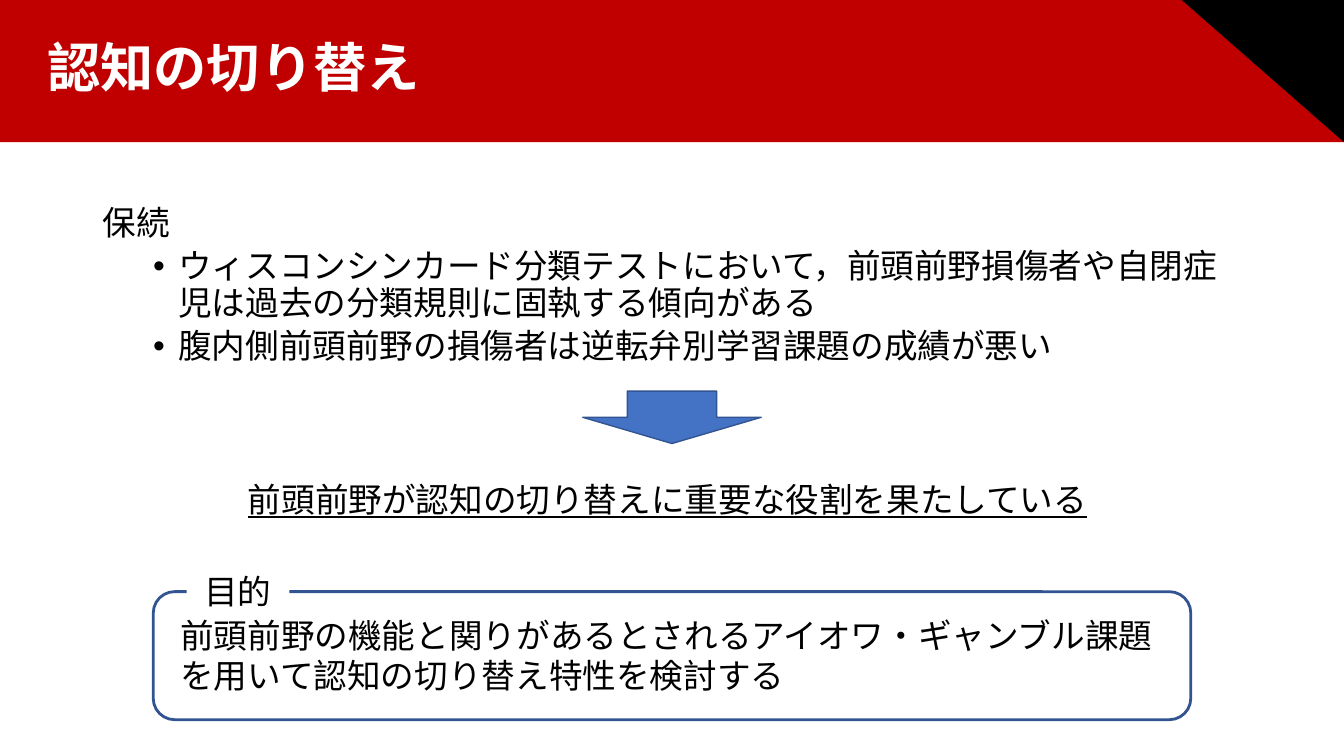
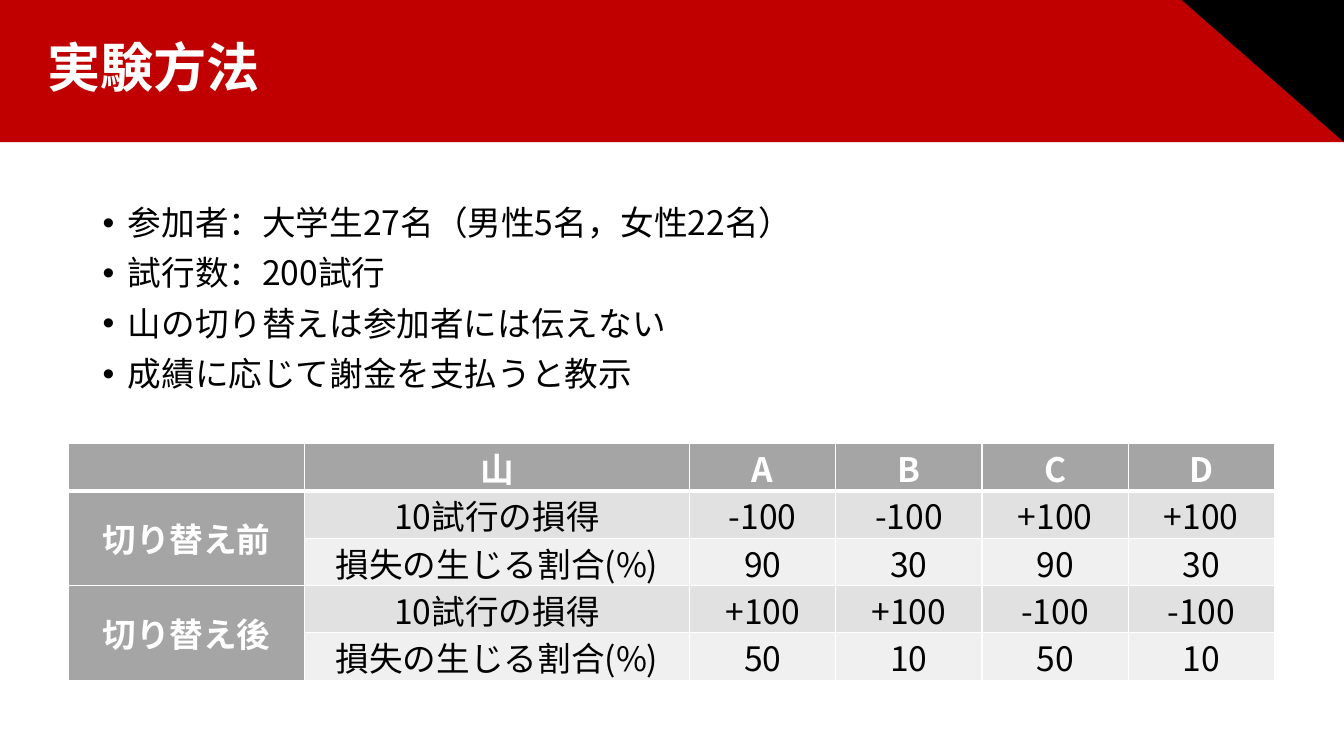
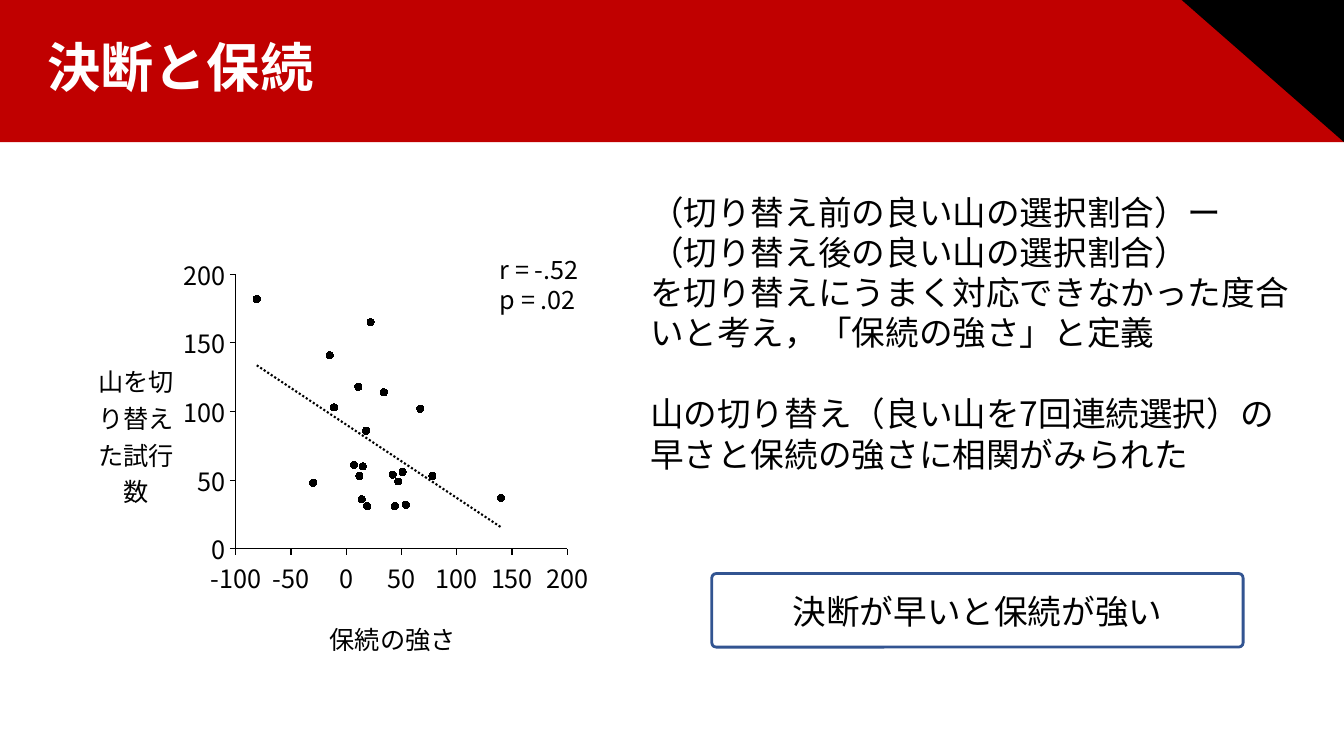
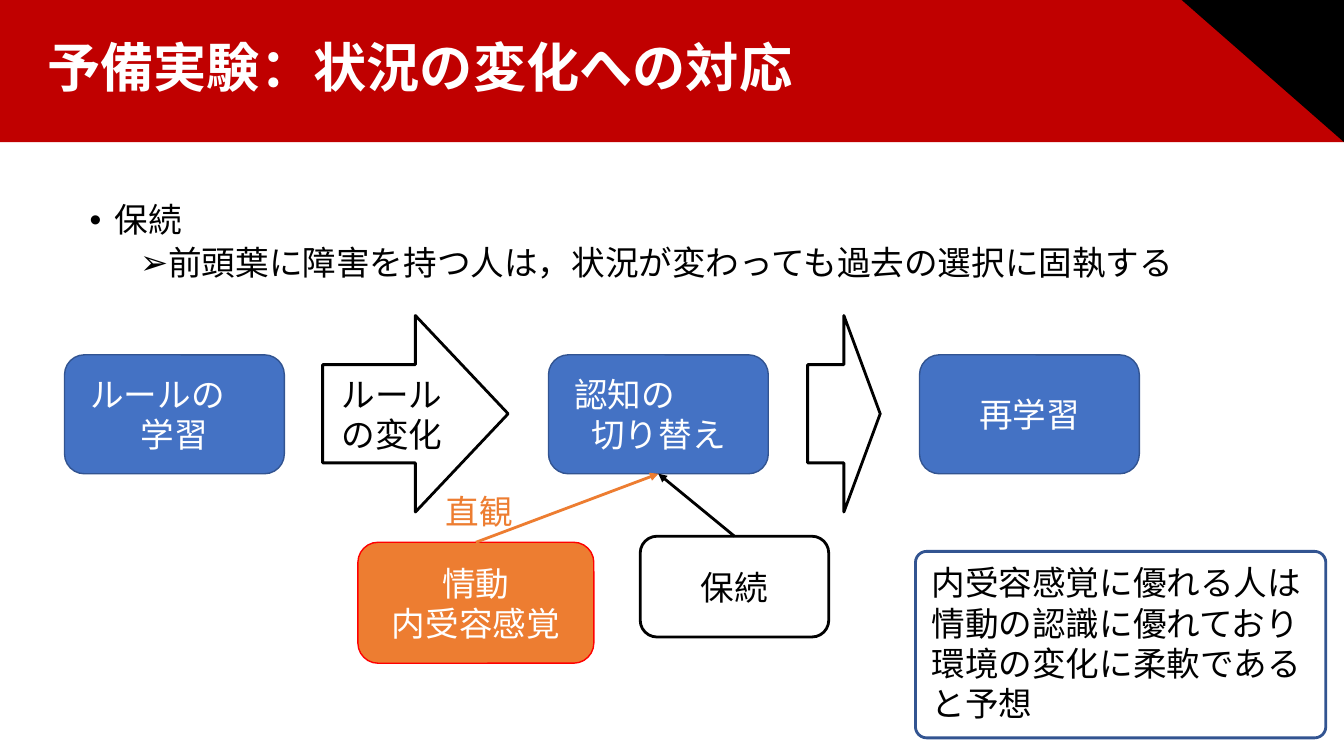
"""Build four slides on cognitive switching and perseveration."""
import lxml.etree
import pptx
import pptx.chart.data
import pptx.dml.color
import pptx.enum.chart
import pptx.enum.shapes
import pptx.enum.text
import pptx.oxml
import pptx.oxml.ns
import pptx.util

Inches, Pt = pptx.util.Inches, pptx.util.Pt
qn = pptx.oxml.ns.qn
rgb = pptx.dml.color.RGBColor.from_string
PRESET = pptx.enum.shapes.MSO_SHAPE
ALIGN = pptx.enum.text.PP_ALIGN
ANCHOR = pptx.enum.text.MSO_ANCHOR

FONT = "Noto Sans CJK JP"
COLORS = {
    "band": "C00000", "black": "000000", "white": "FFFFFF", "blue": "4472C4",
    "navy": "325491", "orange": "ED7D31", "red": "FF0000",
    "header": "A5A5A5", "odd": "E1E1E1", "even": "F0F0F0",
}


def add_box(slide, at, preset=None, fill=None, line=None, width=2, corner=None, wrap=True):
    """Add a text box, or a preset shape with middle-anchored text."""
    place = [Inches(length) for length in at]
    if preset is None:
        box = slide.shapes.add_textbox(*place)
    else:
        box = slide.shapes.add_shape(preset, *place)
        box.shadow.inherit = False
        box.text_frame.vertical_anchor = ANCHOR.MIDDLE
        if fill:
            box.fill.solid()
            box.fill.fore_color.rgb = rgb(COLORS[fill])
        else:
            box.fill.background()
        if line:
            box.line.color.rgb = rgb(COLORS[line])
            box.line.width = Pt(width)
        else:
            box.line.fill.background()
        if corner is not None:
            box.adjustments[0] = corner
    box.text_frame.word_wrap = wrap
    return box


def write(frame, text, size=24, color="black", bold=False, underline=False, align=ALIGN.LEFT,
          spacing=None, before=None, bullet=None, left=0, level=0):
    """Append each line of text to the frame as a formatted paragraph."""
    for line in text.split("\n"):
        paragraph = frame.add_paragraph() if frame.text else frame.paragraphs[0]
        paragraph.alignment = align
        paragraph.level = level
        if spacing:
            paragraph.line_spacing = spacing
        if before:
            paragraph.space_before = Pt(before)
        properties = paragraph._p.get_or_add_pPr()
        if left:
            properties.set("marL", str(Inches(left)))
        if bullet:
            properties.set("indent", str(Inches(-0.25)))
            lxml.etree.SubElement(properties, qn("a:buFont"), typeface="Arial")
            lxml.etree.SubElement(properties, qn("a:buChar"), char=bullet)
        run = paragraph.add_run()
        run.text = line
        run.font.size = Pt(size)
        run.font.bold = bold
        run.font.underline = underline
        run.font.color.rgb = rgb(COLORS[color])
        run.font.name = FONT
        lxml.etree.SubElement(run._r.get_or_add_rPr(), qn("a:ea"), typeface=FONT)


deck = pptx.Presentation()
deck.slide_width, deck.slide_height = Inches(13.33), Inches(7.5)

slides = []
for heading in ["認知の切り替え", "実験方法", "決断と保続", "予備実験：状況の変化への対応"]:
    slide = deck.slides.add_slide(deck.slide_layouts[6])
    add_box(slide, (0, 0, 13.33, 1.41), PRESET.RECTANGLE, fill="band")
    corner_triangle = add_box(slide, (11.72, 0, 1.61, 1.41), PRESET.RIGHT_TRIANGLE, fill="black")
    corner_triangle.rotation = 180
    title = add_box(slide, (0.37, 0.36, 11.96, 0.72))
    write(title.text_frame, heading, size=38, color="white", bold=True, spacing=0.9)
    slides.append(slide)
switching, method, decision, preliminary = slides

top_item = {"spacing": 0.9, "before": 10}
sub_item = {"spacing": 0.9, "before": 5, "left": 0.75, "level": 1}

findings = add_box(switching, (0.92, 2, 11.5, 3.43)).text_frame
write(findings, "保続", **top_item)
write(findings, "ウィスコンシンカード分類テストにおいて，前頭前野損傷者や自閉症児は過去の分類規則に固執する傾向がある\n"
      "腹内側前頭前野の損傷者は逆転弁別学習課題の成績が悪い", bullet="•", **sub_item)
add_box(switching, (1.52, 5.87, 10.29, 1.27), PRESET.ROUNDED_RECTANGLE, line="navy")
purpose = add_box(switching, (1.69, 6.05, 9.95, 0.91))
write(purpose.text_frame, "前頭前野の機能と関りがあるとされるアイオワ・ギャンブル課題を用いて認知の切り替え特性を検討する")
add_box(switching, (5.78, 3.88, 1.77, 0.52), PRESET.DOWN_ARROW, fill="blue", line="navy", width=1)
conclusion = add_box(switching, (2.36, 4.7, 8.62, 0.5), wrap=False)
write(conclusion.text_frame, "前頭前野が認知の切り替えに重要な役割を果たしている", underline=True)
purpose_label = add_box(switching, (1.85, 5.6, 1.02, 0.52), PRESET.RECTANGLE, fill="white")
write(purpose_label.text_frame, "目的", align=ALIGN.CENTER)

deck_rows = [
    ["", "山", "A", "B", "C", "D"],
    ["切り替え前", "10試行の損得", "-100", "-100", "+100", "+100"],
    ["", "損失の生じる割合(%)", "90", "30", "90", "30"],
    ["切り替え後", "10試行の損得", "+100", "+100", "-100", "-100"],
    ["", "損失の生じる割合(%)", "50", "10", "50", "10"],
]
payoffs = method.shapes.add_table(5, 6, Inches(0.68), Inches(4.4), Inches(11.96), Inches(2.35)).table
payoffs.first_row = payoffs.horz_banding = False
for column, width in zip(payoffs.columns, [2.34, 3.82] + [1.45] * 4):
    column.width = Inches(width)
for row_number, values in enumerate(deck_rows):
    payoffs.rows[row_number].height = Inches(0.47)
    for column_number, value in enumerate(values):
        cell = payoffs.cell(row_number, column_number)
        is_header = row_number == 0 or column_number == 0
        cell.fill.solid()
        cell.fill.fore_color.rgb = rgb(COLORS["header" if is_header else "odd" if row_number % 2 else "even"])
        cell.vertical_anchor = ANCHOR.MIDDLE
        cell.margin_left = cell.margin_right = Inches(0.07)
        cell.margin_top = cell.margin_bottom = 0
        if value:
            write(cell.text_frame, value, color="white" if is_header else "black",
                  bold=is_header, align=ALIGN.CENTER)
        for position, side in enumerate("LRTB"):
            under_header = (row_number, side) in [(0, "B"), (1, "T")]
            border = pptx.oxml.parse_xml(
                f'<a:ln{side} {pptx.oxml.ns.nsdecls("a")} w="{Pt(3 if under_header else 1)}"><a:solidFill>'
                f'<a:srgbClr val="{COLORS["white"]}"/></a:solidFill></a:ln{side}>')
            cell._tc.get_or_add_tcPr().insert(position, border)
for first_row in (1, 3):
    payoffs.cell(first_row, 0).merge(payoffs.cell(first_row + 1, 0))

conditions = add_box(method, (0.92, 2, 11.5, 2.3)).text_frame
write(conditions, "参加者：大学生27名（男性5名，女性22名）\n試行数：200試行\n"
      "山の切り替えは参加者には伝えない\n成績に応じて謝金を支払うと教示", bullet="•", left=0.25, **top_item)

result = add_box(decision, (7.2, 5.81, 4.99, 0.5))
write(result.text_frame, "決断が早いと保続が強い", align=ALIGN.CENTER)
add_box(decision, (7.06, 5.69, 5.27, 0.73), PRESET.ROUNDED_RECTANGLE, line="navy", corner=0.06)

perseveration = [67, 14, 44, 7, 22, -11, 51, 18, 47, 15, 78, 12, 11, -30, 140, -81, -15, 54, 19, 42, 34]
trials = [102, 36, 31, 61, 165, 103, 56, 86, 49, 60, 53, 53, 118, 48, 37, 182, 141, 32, 31, 54, 114]
scatter_data = pptx.chart.data.XyChartData()
participants = scatter_data.add_series("Series 1")
for strength, trial in zip(perseveration, trials):
    participants.add_data_point(strength, trial)
scatter = decision.shapes.add_chart(
    pptx.enum.chart.XL_CHART_TYPE.XY_SCATTER,
    Inches(0.72), Inches(2.47), Inches(5.22), Inches(4.19), scatter_data).chart
scatter.has_title = scatter.has_legend = False
scatter.font.name = FONT
scatter.font.size = Pt(18)
scatter.font.color.rgb = rgb(COLORS["black"])
scatter.plots[0].vary_by_categories = False

points = scatter.plots[0].series[0]
points.format.line.fill.background()
points.marker.style = pptx.enum.chart.XL_MARKER_STYLE.CIRCLE
points.marker.size = 5
points.marker.format.fill.solid()
points.marker.format.fill.fore_color.rgb = rgb(COLORS["black"])
points.marker.format.line.color.rgb = rgb(COLORS["black"])
trend = pptx.oxml.parse_xml(
    f'<c:trendline {pptx.oxml.ns.nsdecls("c", "a")}><c:spPr><a:ln w="{Pt(1.5)}"><a:solidFill>'
    f'<a:srgbClr val="{COLORS["black"]}"/></a:solidFill><a:prstDash val="sysDot"/></a:ln></c:spPr>'
    '<c:trendlineType val="linear"/><c:dispRSqr val="0"/><c:dispEq val="0"/></c:trendline>')
scatter.element.xpath(".//c:xVal")[0].addprevious(trend)

for axis, caption, low in [(scatter.category_axis, "保続の強さ", -100),
                           (scatter.value_axis, "山を切り替えた試行数", 0)]:
    axis.minimum_scale, axis.maximum_scale, axis.major_unit = low, 200, 50
    axis.has_major_gridlines = False
    axis.major_tick_mark = pptx.enum.chart.XL_TICK_MARK.OUTSIDE
    axis.minor_tick_mark = pptx.enum.chart.XL_TICK_MARK.NONE
    axis.crosses = pptx.enum.chart.XL_AXIS_CROSSES.MINIMUM
    axis.tick_labels.number_format = "General"
    axis.tick_labels.number_format_is_linked = False
    axis.format.line.color.rgb = rgb(COLORS["black"])
    axis.format.line.width = Pt(0.75)
    write(axis.axis_title.text_frame, caption, size=18, align=ALIGN.CENTER)
    axis.axis_title.text_frame._txBody.bodyPr.set("rot", "0")

for owner, position, layout in [
    (scatter.element.xpath(".//c:plotArea")[0], 0, {"x": 0.31, "y": 0.06, "w": 0.63, "h": 0.65}),
    (scatter.category_axis.axis_title.element, 1, {"x": 0.48, "y": 0.86}),
    (scatter.value_axis.axis_title.element, 1, {"x": 0.04, "y": 0.25}),
]:
    for automatic in owner.findall(qn("c:layout")):
        owner.remove(automatic)
    target = '<c:layoutTarget val="inner"/>' if "w" in layout else ""
    modes = "".join(f'<c:{key}Mode val="edge"/>' for key in "xy")
    lengths = "".join(f'<c:{key} val="{value}"/>' for key, value in layout.items())
    owner.insert(position, pptx.oxml.parse_xml(
        f'<c:layout {pptx.oxml.ns.nsdecls("c")}><c:manualLayout>{target}{modes}{lengths}'
        '</c:manualLayout></c:layout>'))

definition = add_box(decision, (6.35, 1.85, 6.68, 2.93)).text_frame
write(definition, "（切り替え前の良い山の選択割合）ー\n（切り替え後の良い山の選択割合）\n"
      "を切り替えにうまく対応できなかった度合いと考え，「保続の強さ」と定義")
write(definition, "山の切り替え（良い山を7回連続選択）の早さと保続の強さに相関がみられた", before=29)
correlation = add_box(decision, (4.86, 2.47, 1.07, 0.71), wrap=False)
write(correlation.text_frame, "r = -.52\np = .02", size=18)

symptom = add_box(preliminary, (0.79, 1.97, 11.75, 0.99)).text_frame
write(symptom, "保続", bullet="•", left=0.25, **top_item)
write(symptom, "前頭葉に障害を持つ人は，状況が変わっても過去の選択に固執する", bullet="➢", **sub_item)

stages = []
for left, lead, ending in [(0.64, "ルールの", "学習"), (5.44, "認知の", "切り替え"), (9.12, "", "再学習")]:
    stage = add_box(preliminary, (left, 3.52, 2.18, 1.18), PRESET.ROUNDED_RECTANGLE,
                    fill="blue", line="navy", width=1)
    if lead:
        write(stage.text_frame, lead, color="white", left=0.1)
    write(stage.text_frame, ending, color="white", align=ALIGN.CENTER)
    stages.append(stage)
rule_change = add_box(preliminary, (3.2, 3.13, 1.84, 1.95), PRESET.RIGHT_ARROW, line="black")
write(rule_change.text_frame, "ルールの変化", align=ALIGN.CENTER)
add_box(preliminary, (8.01, 3.13, 0.72, 1.95), PRESET.RIGHT_ARROW, line="black")

emotion = add_box(preliminary, (3.55, 5.38, 2.34, 1.2), PRESET.ROUNDED_RECTANGLE,
                  fill="orange", line="red", width=1)
write(emotion.text_frame, "情動\n内受容感覚", color="white", align=ALIGN.CENTER)
persistence = add_box(preliminary, (6.35, 5.32, 1.87, 1), PRESET.ROUNDED_RECTANGLE, line="black")
write(persistence.text_frame, "保続", align=ALIGN.CENTER)
for influence, color in [(emotion, "orange"), (persistence, "black")]:
    arrow = preliminary.shapes.add_connector(pptx.enum.shapes.MSO_CONNECTOR.STRAIGHT, 0, 0, 0, 0)
    arrow.begin_connect(influence, 0)
    arrow.end_connect(stages[1], 2)
    arrow.line.color.rgb = rgb(COLORS[color])
    arrow.line.width = Pt(2)
    lxml.etree.SubElement(arrow.line._get_or_add_ln(), qn("a:tailEnd"), type="triangle")
    lxml.etree.SubElement(arrow._element.spPr, qn("a:effectLst"))

intuition = add_box(preliminary, (4.32, 4.82, 0.88, 0.5), wrap=False)
write(intuition.text_frame, "直観", color="orange")
prediction = add_box(preliminary, (9.14, 5.53, 3.95, 1.72))
write(prediction.text_frame, "内受容感覚に優れる人は情動の認識に優れており環境の変化に柔軟であると予想")
add_box(preliminary, (9.08, 5.47, 4.07, 1.85), PRESET.ROUNDED_RECTANGLE, line="navy", corner=0.06)

deck.save("out.pptx")
